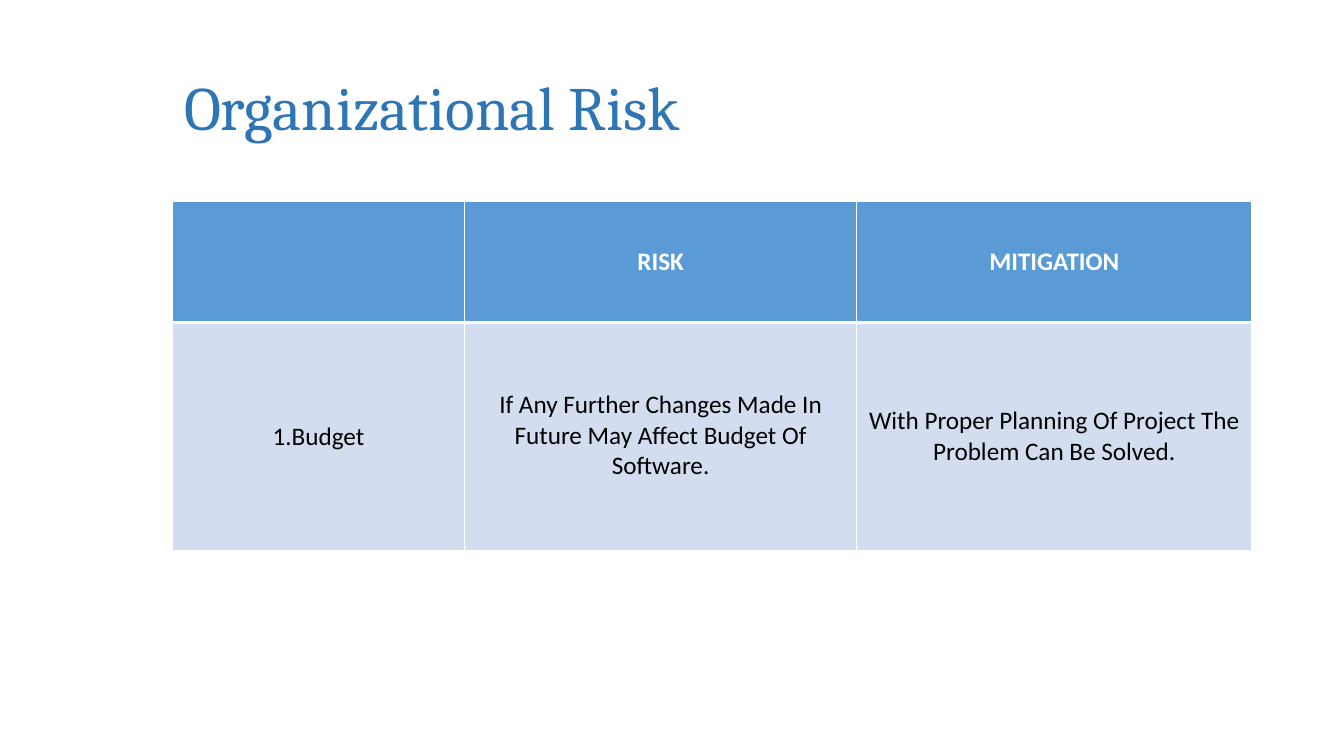
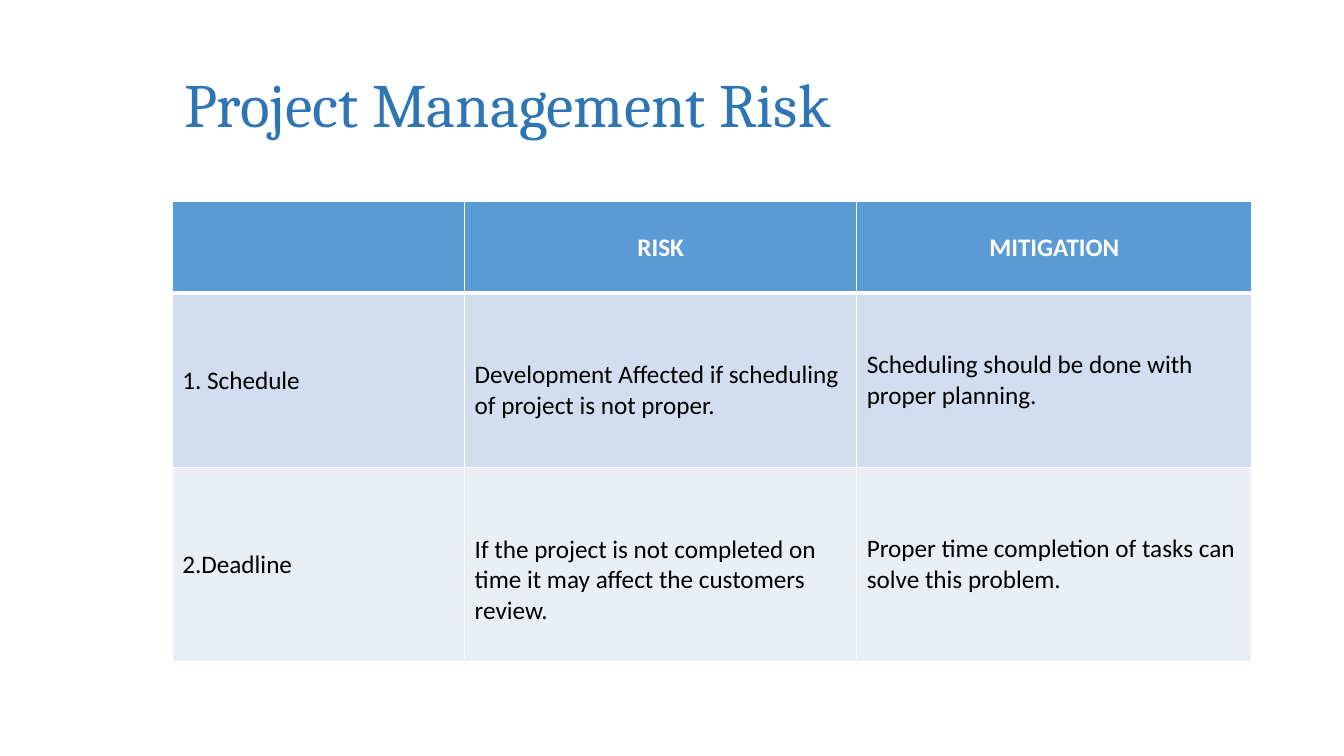
from dataclasses import dataclass

from lxml import etree
from pptx import Presentation
from pptx.dml.color import RGBColor
from pptx.enum.text import MSO_ANCHOR, PP_ALIGN
from pptx.oxml.ns import qn
from pptx.slide import Slide
from pptx.table import _Cell
from pptx.text.text import TextFrame
from pptx.util import Cm, Pt

LEFT, CENTER = PP_ALIGN.LEFT, PP_ALIGN.CENTER
TOP, MIDDLE = MSO_ANCHOR.TOP, MSO_ANCHOR.MIDDLE


@dataclass(frozen=True)
class Theme:
    title: str = "2E75B6"
    head: str = "5B9BD5"
    bands: tuple[str, ...] = ("D2DEEF", "EAEFF7")
    ink: str = "000000"
    white: str = "FFFFFF"
    serif: str = "Cambria"
    sans: str = "Calibri"
    big: int = 44
    body: int = 18
    thin: int = 1
    thick: int = 3


@dataclass(frozen=True)
class Risk:
    name: str
    threat: str
    remedy: str
    height: float


@dataclass(frozen=True)
class Page:
    title: str
    top: float
    head: float
    align: PP_ALIGN
    risks: tuple[Risk, ...]


THEME = Theme()
COLS = (7.37, 9.88, 9.96)
HEADS = ("", "RISK", "MITIGATION")
DROP = 1.68  # top inset of the threat column

PAGES = (
    Page("Organizational Risk", 0.84, 3.05, CENTER, (
        Risk("1.Budget",
             "If Any Further Changes Made In Future May Affect Budget Of Software.",
             "With Proper Planning Of Project The Problem Can Be Solved.", 5.74),
    )),
    Page("Project Management Risk", 0.76, 2.31, LEFT, (
        Risk("1. Schedule",
             "Development Affected if scheduling of project is not proper.",
             "Scheduling should be done with proper planning.", 4.39),
        Risk("2.Deadline",
             "If the project is not completed on time it may affect the customers review.",
             "Proper time completion of tasks can solve this problem.", 4.9),
    )),
)


def write(frame: TextFrame, text: str, *, font: str = THEME.sans,
          size: int = THEME.body, color: str = THEME.ink,
          bold: bool = False, align: PP_ALIGN = LEFT) -> None:
    para = frame.paragraphs[0]
    para.text = text
    para.alignment = align
    face = para.font
    face.name, face.size, face.bold = font, Pt(size), bold
    face.color.rgb = RGBColor.from_string(color)


def paint(cell: _Cell, fill: str, over: int, under: int) -> None:
    """Set the white borders, then the fill, of a cell."""
    props = cell._tc.get_or_add_tcPr()
    sides = {"L": THEME.thin, "R": THEME.thin, "T": over, "B": under}
    for side, width in sides.items():
        line = etree.SubElement(props, qn(f"a:ln{side}"), w=str(Pt(width)))
        solid = etree.SubElement(line, qn("a:solidFill"))
        etree.SubElement(solid, qn("a:srgbClr"), val=THEME.white)
    cell.fill.solid()
    cell.fill.fore_color.rgb = RGBColor.from_string(fill)


def add_title(slide: Slide, page: Page) -> None:
    box = slide.shapes.add_textbox(Cm(4.39), Cm(page.top), Cm(25.1), Cm(3.68))
    frame = box.text_frame
    frame.word_wrap = True
    frame.vertical_anchor = MIDDLE
    write(frame, page.title, font=THEME.serif, size=THEME.big, color=THEME.title)


def add_grid(slide: Slide, page: Page) -> None:
    highs = [page.head] + [risk.height for risk in page.risks]
    grid = slide.shapes.add_table(len(highs), len(COLS), Cm(4.34), Cm(5.08),
                                  Cm(sum(COLS)), Cm(sum(highs))).table
    for col, width in zip(grid.columns, COLS):
        col.width = Cm(width)
    for row, high in zip(grid.rows, highs):
        row.height = Cm(high)

    # Header row
    for col, text in enumerate(HEADS):
        cell = grid.cell(0, col)
        paint(cell, THEME.head, THEME.thin, THEME.thick)
        cell.vertical_anchor = MIDDLE
        write(cell.text_frame, text, color=THEME.white, bold=True, align=CENTER)

    # Risk rows
    for row, risk in enumerate(page.risks, 1):
        fill = THEME.bands[(row - 1) % len(THEME.bands)]
        over = THEME.thick if row == 1 else THEME.thin
        for col, text in enumerate((risk.name, risk.threat, risk.remedy)):
            cell = grid.cell(row, col)
            paint(cell, fill, over, THEME.thin)
            cell.vertical_anchor = MIDDLE
            if col == 1:
                cell.vertical_anchor = TOP
                cell.margin_top = Cm(DROP)
            write(cell.text_frame, text, align=page.align)


def main() -> None:
    deck = Presentation()
    deck.slide_width, deck.slide_height = Cm(33.87), Cm(19.05)
    blank = deck.slide_layouts[6]
    for page in PAGES:
        slide = deck.slides.add_slide(blank)
        add_title(slide, page)
        add_grid(slide, page)
    deck.save("out.pptx")


if __name__ == "__main__":
    main()
